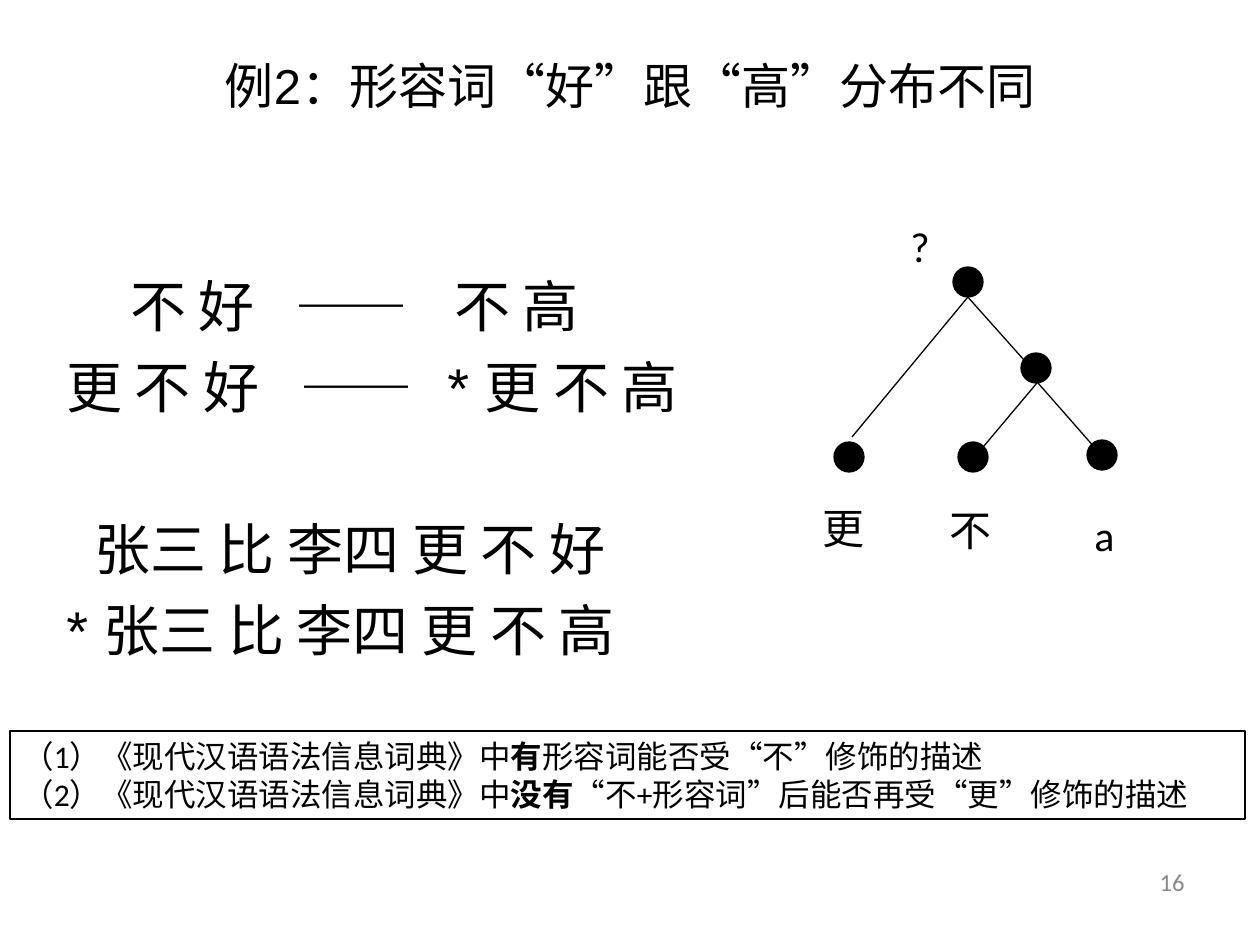
from lxml.etree import SubElement
from pptx import Presentation
from pptx.dml.color import RGBColor
from pptx.enum.shapes import MSO_CONNECTOR, MSO_SHAPE
from pptx.enum.text import MSO_ANCHOR, PP_ALIGN
from pptx.oxml.ns import qn
from pptx.util import Pt

PX = 914400 / 126
BLACK = RGBColor(0x00, 0x00, 0x00)
GRAY = RGBColor(0x89, 0x89, 0x89)


def px(*values):
    """Turn pixels into EMU."""
    return [round(v * PX) for v in values]


def add_text(sp, lines, size, font="Calibri", color=BLACK, align=PP_ALIGN.LEFT,
             anchor=MSO_ANCHOR.TOP, before=0):
    """Fill a shape; each line is a list of runs, and odd runs are bold."""
    tf = sp.text_frame
    tf.word_wrap = True
    tf.vertical_anchor = anchor
    for i, runs in enumerate(lines):
        p = tf.add_paragraph() if i else tf.paragraphs[0]
        p.alignment = align
        p.space_before = Pt(before)
        for j, text in enumerate(runs):
            r = p.add_run()
            r.text = text
            r.font.size = Pt(size)
            r.font.name = font
            r.font.bold = j % 2 == 1
            r.font.color.rgb = color
    return tf


prs = Presentation()
prs.slide_width, prs.slide_height = px(1260, 945)
s = prs.slides.add_slide(prs.slide_layouts[6])
shapes = s.shapes

# Title and page number
add_text(shapes.add_textbox(*px(63, 38, 1134, 94)), [["例2：形容词“好”跟“高”分布不同"]], 28,
         font="Arial", align=PP_ALIGN.CENTER, anchor=MSO_ANCHOR.MIDDLE)
add_text(shapes.add_textbox(*px(903, 861, 294, 66)), [["16"]], 14,
         color=GRAY, align=PP_ALIGN.RIGHT)

# Examples, with the columns set by tab stops
examples = [
    ("\t不 好\t——\t不 高", (64, 229, 388)),
    ("更 不 好\t——\t* 更 不 高", (234, 381)),
    ("\t张三 比 李四 更 不 好", (28,)),
    ("* 张三 比 李四 更 不 高", ()),
]
tf = add_text(shapes.add_textbox(*px(54, 265, 764, 431)),
              [[text] for text, _ in examples], 32, font="Arial", before=8)
tf.paragraphs[2].space_before = Pt(54)
for p, (_, stops) in zip(tf.paragraphs, examples):
    if stops:
        tabs = SubElement(p._p.get_or_add_pPr(), qn("a:tabLst"))
        for pos in px(*stops):
            SubElement(tabs, qn("a:tab"), pos=str(pos), algn="l")

# Tree
NODE = 30
for x, y in [(958, 442), (1087, 440), (1021, 353), (953, 267), (834, 442)]:
    sp = shapes.add_shape(MSO_SHAPE.OVAL, *px(x, y, NODE, NODE))
    sp.shadow.inherit = False
    sp.fill.solid()
    sp.fill.fore_color.rgb = BLACK
    sp.line.color.rgb = BLACK
    sp.line.width = Pt(0.75)

for ends in [(1037, 383, 984, 446), (1038, 383, 1096, 449),
             (966, 295, 1024, 360), (968, 297, 852, 437)]:
    branch = shapes.add_connector(MSO_CONNECTOR.STRAIGHT, *px(*ends))
    branch.line.color.rgb = BLACK
    branch.line.width = Pt(0.75)
    SubElement(branch._element.spPr, qn("a:effectLst"))

for label, x, y in [("不", 937, 498), ("a", 1082, 503), ("更", 810, 496), ("?", 898, 214)]:
    add_text(shapes.add_textbox(*px(x, y, 79, 63)), [[label]], 24, before=15)

# Notes on the dictionary
box = shapes.add_shape(MSO_SHAPE.RECTANGLE, *px(10, 731, 1235, 88))
box.shadow.inherit = False
box.fill.background()
box.line.color.rgb = BLACK
box.line.width = Pt(0.75)
add_text(box, [
    ["（1）《现代汉语语法信息词典》中", "有", "形容词能否受“不”修饰的描述"],
    ["（2）《现代汉语语法信息词典》中", "没有", "“不+形容词”后能否再受“更”修饰的描述"],
], 18)

prs.save("out.pptx")
